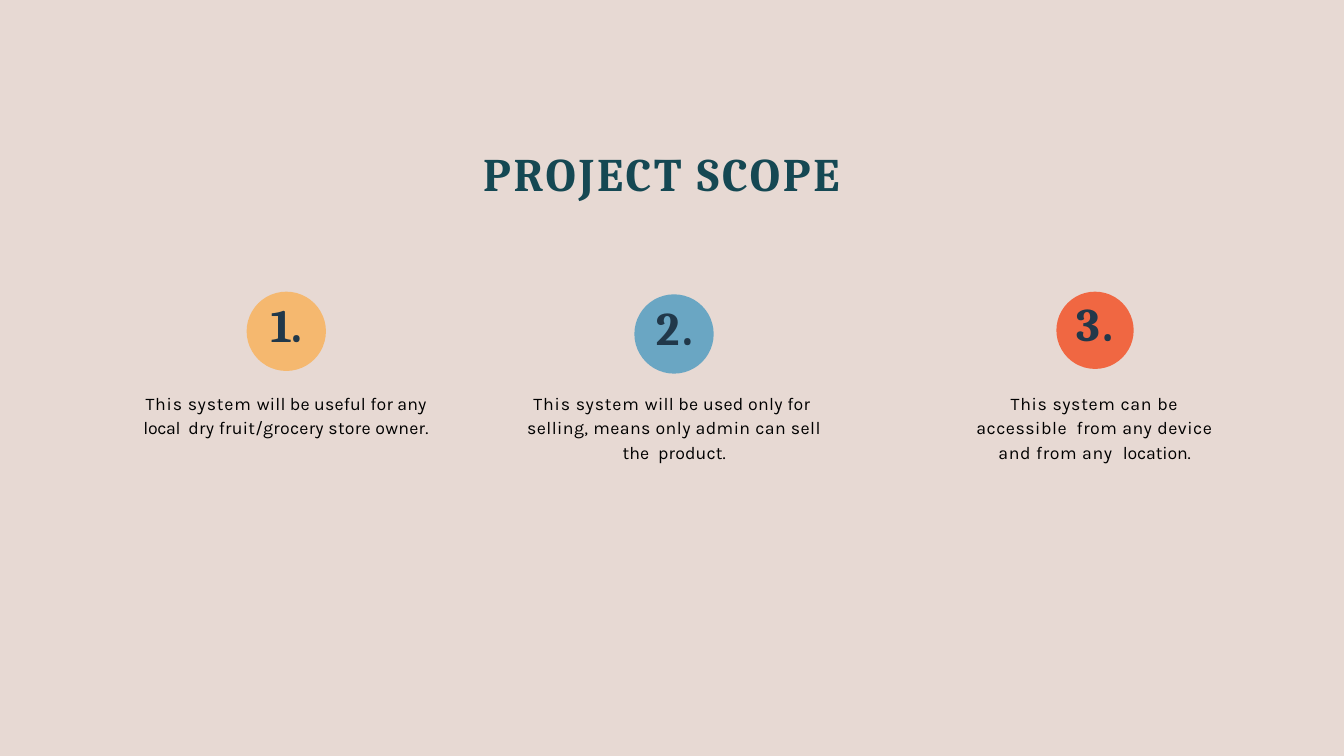
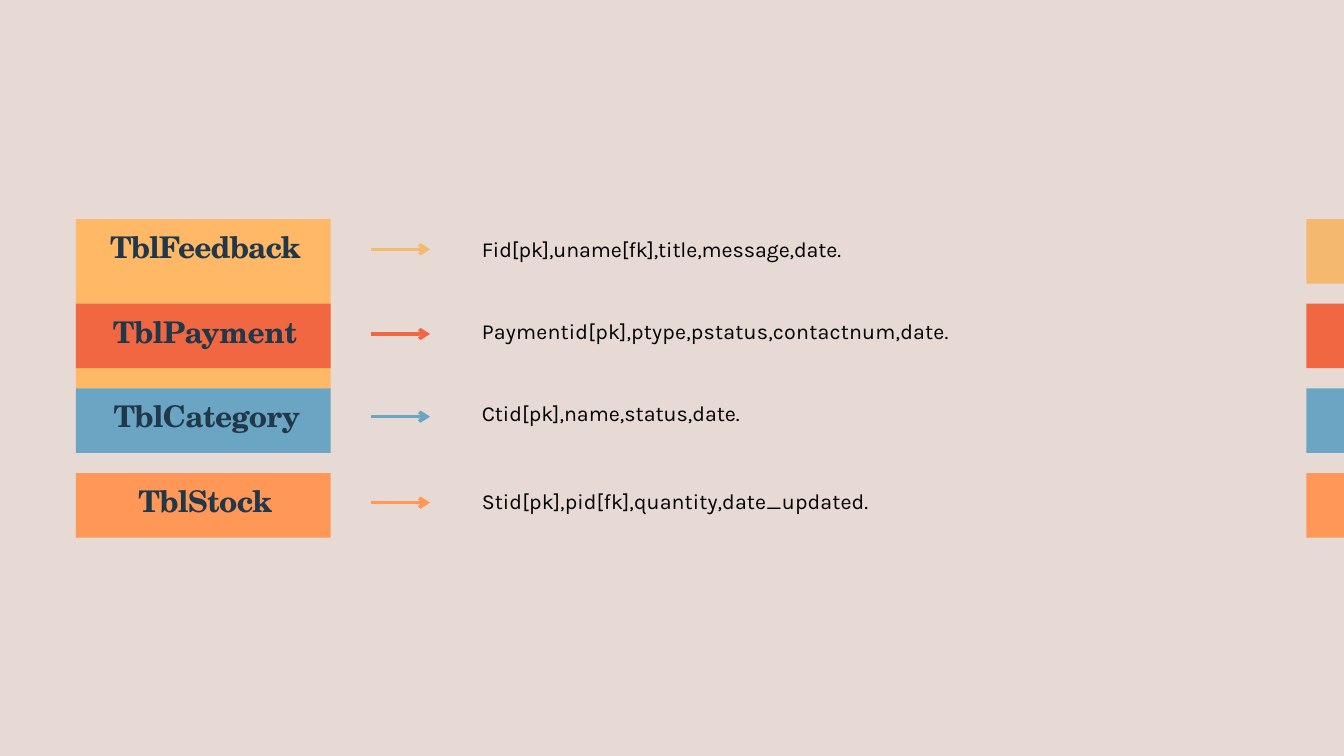
from dataclasses import dataclass

from lxml import etree
from pptx import Presentation
from pptx import util as u
from pptx.dml import color
from pptx.enum import shapes, text
from pptx.oxml import ns

# Shared style
BACKGROUND = "E7D9D3"
NAVY = "21384A"
TEAL = "154853"
BLACK = "000000"
YELLOW = "F5B86F"
AMBER = "FFB866"
BLUE = "6AA6C3"
RED = "F06742"
ORANGE = "FF9756"
SERIF, SANS, SCHOLA = "Cambria", "Karla", "TeX Gyre Schola"
TITLE_ONLY = 5


@dataclass
class Style:
    font: str
    size: float
    colour: str
    bold: bool = False


HEADING = Style(SERIF, 50, TEAL, True)
NUMBER = Style(SERIF, 50, NAVY, True)
BODY = Style(SANS, 19, BLACK)
TABLE_NAME = Style(SCHOLA, 32, NAVY, True)
FIELDS = Style(SANS, 23, BLACK)


@dataclass
class ScopePoint:
    number: str
    number_spacing: float
    colour: str
    circle: tuple[float, float, float]  # left, top, diameter
    box: tuple[float, float, float, float]
    gap: float  # points between number and text
    pieces: list[tuple[str, float]]  # text, letter spacing


@dataclass
class TableRow:
    name: str
    name_spacing: float
    indent: float
    fill: str
    accent: str  # arrow and edge tab
    arrow_y: float
    fields: str
    fields_spacing: float
    fields_top: float
    fields_width: float


def rgb(value: str) -> color.RGBColor:
    return color.RGBColor.from_string(value)


def paint(shape, colour: str) -> None:
    shape.fill.solid()
    shape.fill.fore_color.rgb = rgb(colour)
    shape.line.fill.background()


def place(shape, left: float, top: float, width: float, height: float) -> None:
    shape.left, shape.top = u.Inches(left), u.Inches(top)
    shape.width, shape.height = u.Inches(width), u.Inches(height)


def add_run(paragraph, words: str, style: Style, spacing: float = 0) -> None:
    run = paragraph.add_run()
    run.text = words
    run.font.name = style.font
    run.font.size = u.Pt(style.size)
    run.font.bold = style.bold
    run.font.color.rgb = rgb(style.colour)
    run._r.get_or_add_rPr().set("spc", str(round(spacing * 100)))


def prepare_frame(shape, left: float = 0, top: float = 0.01):
    """Set the margins and return the text frame."""
    frame = shape.text_frame
    frame.word_wrap = True
    frame.auto_size = text.MSO_AUTO_SIZE.NONE
    frame.vertical_anchor = text.MSO_ANCHOR.TOP
    frame.margin_left, frame.margin_top = u.Inches(left), u.Inches(top)
    frame.margin_right = frame.margin_bottom = 0
    return frame


def write_line(shape, words: str, style: Style, spacing: float,
               before: float = 1, left: float = 0.01, top: float = 0.01) -> None:
    paragraph = prepare_frame(shape, left, top).paragraphs[0]
    paragraph.alignment = text.PP_ALIGN.LEFT
    paragraph.space_before = u.Pt(before)
    add_run(paragraph, words, style, spacing)


def add_block(slide, kind, colour: str, left: float, top: float,
              width: float, height: float):
    shape = slide.shapes.add_shape(kind, u.Inches(left), u.Inches(top),
                                   u.Inches(width), u.Inches(height))
    shape.shadow.inherit = False
    paint(shape, colour)
    return shape


def add_textbox(slide, left: float, top: float, width: float, height: float):
    return slide.shapes.add_textbox(u.Inches(left), u.Inches(top),
                                    u.Inches(width), u.Inches(height))


def add_arrow(slide, left: float, right: float, y: float, colour: str) -> None:
    arrow = slide.shapes.add_connector(shapes.MSO_CONNECTOR.STRAIGHT, u.Inches(left),
                                       u.Inches(y), u.Inches(right), u.Inches(y))
    arrow.line.color.rgb = rgb(colour)
    arrow.line.width = u.Pt(3.75)
    etree.SubElement(arrow.line._get_or_add_ln(), ns.qn("a:tailEnd"), type="arrow")
    etree.SubElement(arrow._element.spPr, ns.qn("a:effectLst"))


def add_scope_point(slide, point: ScopePoint) -> None:
    left, top, diameter = point.circle
    add_block(slide, shapes.MSO_SHAPE.OVAL, point.colour, left, top, diameter, diameter)
    frame = prepare_frame(add_textbox(slide, *point.box))
    number, body = frame.paragraphs[0], frame.add_paragraph()
    number.alignment = body.alignment = text.PP_ALIGN.CENTER
    number.space_before = u.Pt(1)
    add_run(number, point.number, NUMBER, point.number_spacing)
    body.space_before = u.Pt(point.gap)
    body.line_spacing = 1.15
    for words, spacing in point.pieces:
        add_run(body, words, BODY, spacing)


# Presentation with one background for all slides
presentation = Presentation()
presentation.slide_width = u.Inches(20)
presentation.slide_height = u.Inches(11.25)
background = presentation.slide_master.background.fill
background.solid()
background.fore_color.rgb = rgb(BACKGROUND)
layout = presentation.slide_layouts[TITLE_ONLY]

# Slide 1: project scope
SCOPE = [
    ScopePoint("1.", -0.9, YELLOW, (3.67, 4.34, 1.18), (1.89, 4.4, 4.74, 2.14), 39.6,
               [("This system ", 0.9), ("will be useful for any ", 0.2),
                ("local  ", -0.3), ("dry fruit/grocery store owner.", 0.3)]),
    ScopePoint("2.", 2.8, BLUE, (9.44, 4.38, 1.18), (7.71, 4.44, 4.65, 2.47), 37,
               [("This system ", 0.9), ("will be used only for  ", 0.3),
                ("selling, means only admin can sell ", 0.5), ("the  product.", 0.2)]),
    ScopePoint("3.", 2.6, RED, (15.72, 4.34, 1.15), (14.42, 4.38, 3.74, 2.53), 41.1,
               [("This system can be ", 0.8), ("accessible  from any device ", 0.6),
                ("and from any  ", 0.7), ("location.", -0.1)]),
]
slide = presentation.slides.add_slide(layout)
place(slide.shapes.title, 7.18, 2.15, 5.63, 0.86)
write_line(slide.shapes.title, "PROJECT SCOPE", HEADING, 3)
for point in SCOPE:
    add_scope_point(slide, point)

# Slide 2: database tables and their fields
FIRST_TOP, ROW_PITCH, ROW_HEIGHT = 3.26, 1.26, 0.96
NAME_LEFT, NAME_WIDTH = 1.13, 3.79
ARROW_LEFT, ARROW_RIGHT = 5.52, 6.4
FIELDS_LEFT, FIELDS_HEIGHT = 7.16, 0.41
TAB_LEFT, TAB_WIDTH = 19.44, 0.56
ROWS = [
    TableRow("TblFeedback", -1, 0.51, AMBER, YELLOW, 3.71,
             "Fid[pk],uname[fk],title,message,date.", -0.1, 3.51, 5.55),
    TableRow("TblPayment", -0.5, 0.55, RED, RED, 4.97,
             "Paymentid[pk],ptype,pstatus,contactnum,date.", 0.2, 4.72, 7.09),
    TableRow("TblCategory", -0.8, 0.56, BLUE, BLUE, 6.2,
             "Ctid[pk],name,status,date.", 0, 5.94, 3.96),
    TableRow("TblStock", -0.7, 0.93, ORANGE, ORANGE, 7.48,
             "Stid[pk],pid[fk],quantity,date_updated.", 0.1, 7.26, 5.86),
]
slide = presentation.slides.add_slide(layout)
for index, row in enumerate(ROWS):
    top = FIRST_TOP + index * ROW_PITCH
    if index == 0:
        # The title panel reaches down behind the second row
        name_box = slide.shapes.title
        place(name_box, NAME_LEFT, top, NAME_WIDTH, 2 * ROW_PITCH)
        paint(name_box, row.fill)
    else:
        name_box = add_block(slide, shapes.MSO_SHAPE.RECTANGLE, row.fill,
                             NAME_LEFT, top, NAME_WIDTH, ROW_HEIGHT)
    write_line(name_box, row.name, TABLE_NAME, row.name_spacing,
               before=10, left=row.indent, top=0.14)
    add_arrow(slide, ARROW_LEFT, ARROW_RIGHT, row.arrow_y, row.accent)
    fields_box = add_textbox(slide, FIELDS_LEFT, row.fields_top,
                             row.fields_width, FIELDS_HEIGHT)
    write_line(fields_box, row.fields, FIELDS, row.fields_spacing)
    add_block(slide, shapes.MSO_SHAPE.RECTANGLE, row.accent,
              TAB_LEFT, top, TAB_WIDTH, ROW_HEIGHT)

presentation.save("out.pptx")
